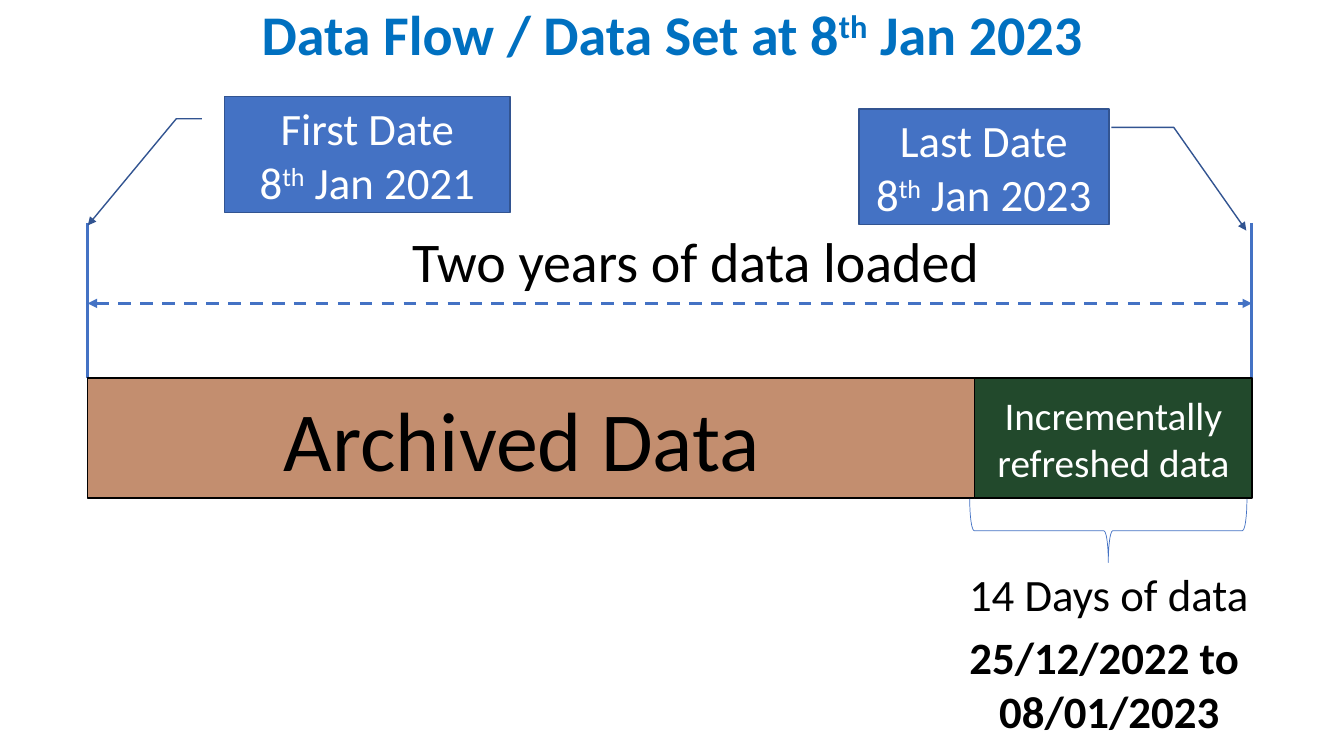
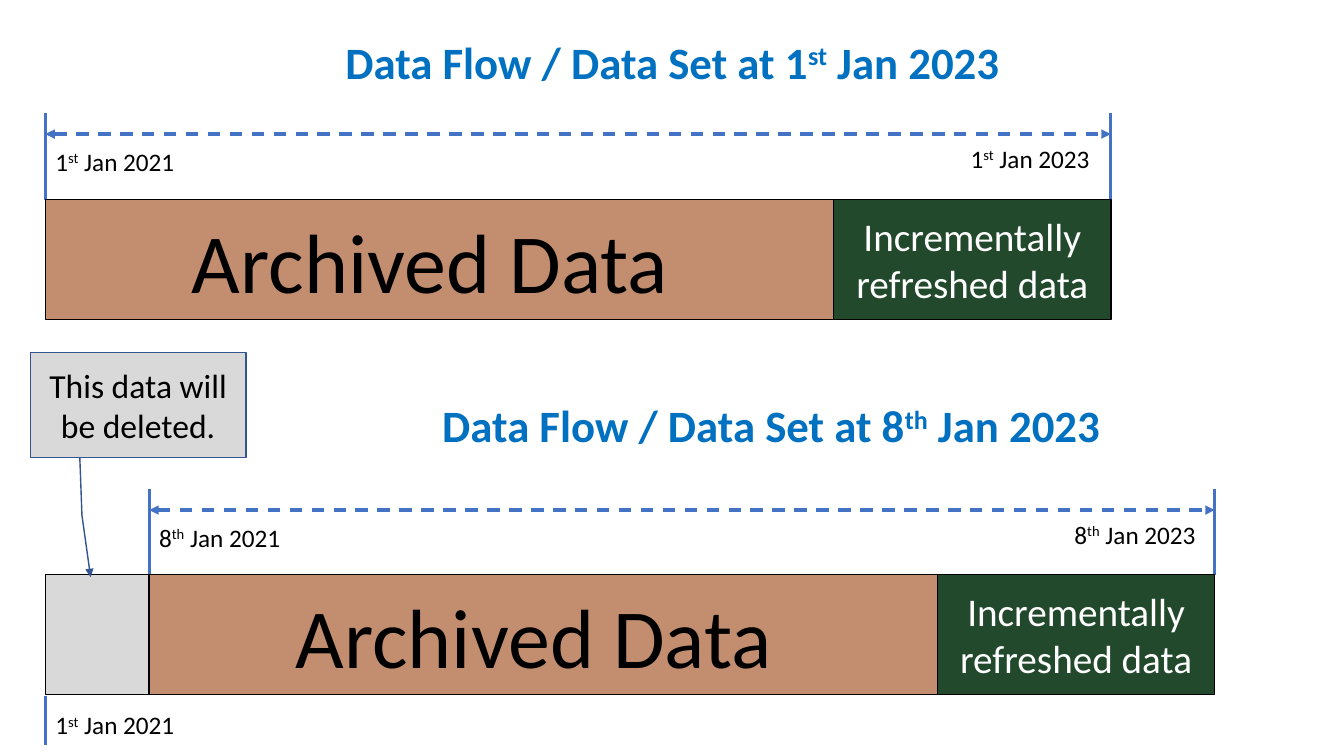
"""Build two slides on a rolling two-year data set and its refresh."""
from dataclasses import dataclass

from lxml.etree import SubElement as Sub
from pptx import Presentation
from pptx.dml.color import RGBColor as Rgb
from pptx.enum.dml import MSO_LINE as Dash
from pptx.enum.shapes import MSO_CONNECTOR as Link, MSO_SHAPE as Kind
from pptx.enum.text import MSO_ANCHOR as Anchor, MSO_AUTO_SIZE as Fit, PP_ALIGN as Align
from pptx.oxml.ns import qn
from pptx.util import Inches, Pt


@dataclass(frozen=True)
class Theme:
    font: str = "Calibri"
    head: str = "0070C0"
    blue: str = "4472C4"
    navy: str = "325491"
    green: str = "22492C"
    clay: str = "C38E6F"
    grey: str = "D9D9D9"
    black: str = "000000"
    white: str = "FFFFFF"
    huge: int = 60
    large: int = 40
    mid: int = 32
    body: int = 28
    note: int = 24
    small: int = 18


T = Theme()
WIDE, HIGH = 133.33, 75
CELL = Inches(0.1)


def put(item, at, text="", size=T.mid, ink=T.black, fill=None, edge=None,
        weight=1, bold=False, align=Align.CENTER, wrap=True):
    """Place an item on the grid; carets in its text enclose superscripts."""
    item.left, item.top, item.width, item.height = [int(n * CELL) for n in at]
    if edge:
        item.shadow.inherit = False
        item.line.color.rgb = Rgb.from_string(edge)
        item.line.width = Pt(weight)
        if fill:
            item.fill.solid()
            item.fill.fore_color.rgb = Rgb.from_string(fill)
        else:
            item.fill.background()
    if text:
        frame = item.text_frame
        frame.word_wrap = wrap
        frame.auto_size = Fit.NONE if edge else Fit.SHAPE_TO_FIT_TEXT
        frame.vertical_anchor = Anchor.MIDDLE if edge else Anchor.TOP
        para = frame.paragraphs[0]
        para.alignment = align
        for row, words in enumerate(text.split("\\n")):
            if row:
                para.add_line_break()
            for turn, part in enumerate(words.split("^")):
                run = para.add_run()
                run.text = part
                run.font.name, run.font.size, run.font.bold = T.font, Pt(size), bold
                run.font.color.rgb = Rgb.from_string(ink)
                if turn % 2:
                    run.font._element.set("baseline", "30000")
    return item


def rule(slide, start, end, arrow=False):
    """Draw a plain stem or a dashed arrow with two heads."""
    ends = [int(n * CELL) for n in (*start, *end)]
    line = slide.shapes.add_connector(Link.STRAIGHT, *ends)
    line.line.color.rgb = Rgb.from_string(T.blue)
    line.line.width = Pt(2.25)
    if arrow:
        line.line.dash_style = Dash.DASH
        for tag in ("a:headEnd", "a:tailEnd"):
            Sub(line.line._get_or_add_ln(), qn(tag), type="triangle")
    Sub(line._element.spPr, qn("a:effectLst"))


deck = Presentation()
deck.slide_width, deck.slide_height = int(WIDE * CELL), int(HIGH * CELL)
once, shift = [deck.slides.add_slide(deck.slide_layouts[5]) for _ in range(2)]

LEFT, BAR, FRESH = 4.5, 11.9, 27.5
STEP = 10.3
bands = [
    (once, 8.7, 37.5, 88, 7.4, 15.4),
    (shift, LEFT, 19.8, 78.2, 6.5, 8.6),
    (shift, LEFT + STEP, 57, 78.2, 6.4, 8.5),
]
for slide, x, y, old, lift, tall in bands:
    right = x + old + FRESH
    rule(slide, (x, y - lift), (right, y - lift), True)
    for edge in (x, right):
        rule(slide, (edge, y - tall), (edge, y))
    parts = [
        (x, old, "Archived Data ", T.huge, T.black, T.clay),
        (x + old, FRESH, "Incrementally refreshed data", T.body, T.white, T.green),
    ]
    for start, span, text, size, ink, fill in parts:
        put(slide.shapes.add_shape(Kind.RECTANGLE, 0, 0, 0, 0),
            (start, y, span, BAR), text, size, ink, fill, T.black)

put(shift.shapes.add_shape(Kind.RECTANGLE, 0, 0, 0, 0),
    (LEFT, 57, STEP, BAR), fill=T.grey, edge=T.black)
rule(shift, (LEFT, 69), (LEFT, 73.9))

heads = [
    (once.shapes.title, (0, -0.6, WIDE, 7.7), "8^th^", T.large, True),
    (shift.shapes.title, (32.8, 2.9, 67.8, 6.4), "1^st^", T.mid, False),
    (shift.shapes.add_textbox(0, 0, 0, 0), (42.4, 39, 68.2, 6.4), "8^th^", T.mid, False),
]
for item, at, day, size, wrap in heads:
    put(item, at, f"Data Flow / Data Set at {day} Jan 2023", size, T.head,
        bold=True, wrap=wrap)

dates = [
    (LEFT, 14, "1^st^ Jan 2021"),
    (95.3, 13.7, "1^st^ Jan 2023"),
    (LEFT + STEP, 51.3, "8^th^ Jan 2021"),
    (105.6, 51, "8^th^ Jan 2023"),
    (LEFT, 69.9, "1^st^ Jan 2021"),
]
for x, y, text in dates:
    put(shift.shapes.add_textbox(0, 0, 0, 0), (x, y, 14.9, 4), text, T.small,
        align=Align.LEFT)

notes = [
    ((39.6, 22, 58.8, 7.7), "Two years of data loaded", T.large, False),
    ((95, 55.7, 30, 6.4), "14 Days of data", T.mid, False),
    ((95, 62, 30.1, 11.8), "25/12/2022 to \\n08/01/2023", T.mid, True),
]
for at, text, size, bold in notes:
    put(once.shapes.add_textbox(0, 0, 0, 0), at, text, size, bold=bold, wrap=False)

calls = [
    (once, (22.3, 9.6, 28.3, 11.5), "First Date\\n8^th^ Jan 2021", T.mid, T.white,
     T.blue, (0.19, -0.08, 0.19, -0.17, 1.11, -0.48)),
    (once, (85.2, 10.8, 24.8, 11.5), "Last Date\\n8^th^ Jan 2023", T.mid, T.white,
     T.blue, (0.16, 1.01, 0.16, 1.26, 1.05, 1.55)),
    (shift, (3, 35, 21.4, 10.4), "This data will be deleted.", T.note, T.black,
     T.grey, (1, 0.23, 1.55, 0.24, 2.14, 0.28)),
]
for slide, at, text, size, ink, fill, bends in calls:
    call = put(slide.shapes.add_shape(Kind.LINE_CALLOUT_2, 0, 0, 0, 0), at, text,
               size, ink, fill, T.navy)
    for spot, bend in enumerate(bends):
        call.adjustments[spot] = bend
    Sub(call.line._get_or_add_ln(), qn("a:tailEnd"), type="triangle")

brace = put(once.shapes.add_shape(Kind.LEFT_BRACE, 0, 0, 0, 0),
            (106.8, 38.9, 6.3, FRESH), edge=T.blue, weight=0.5)
brace.rotation = 270
brace.adjustments[0], brace.adjustments[1] = 0.07, 0.5

deck.save("out.pptx")
